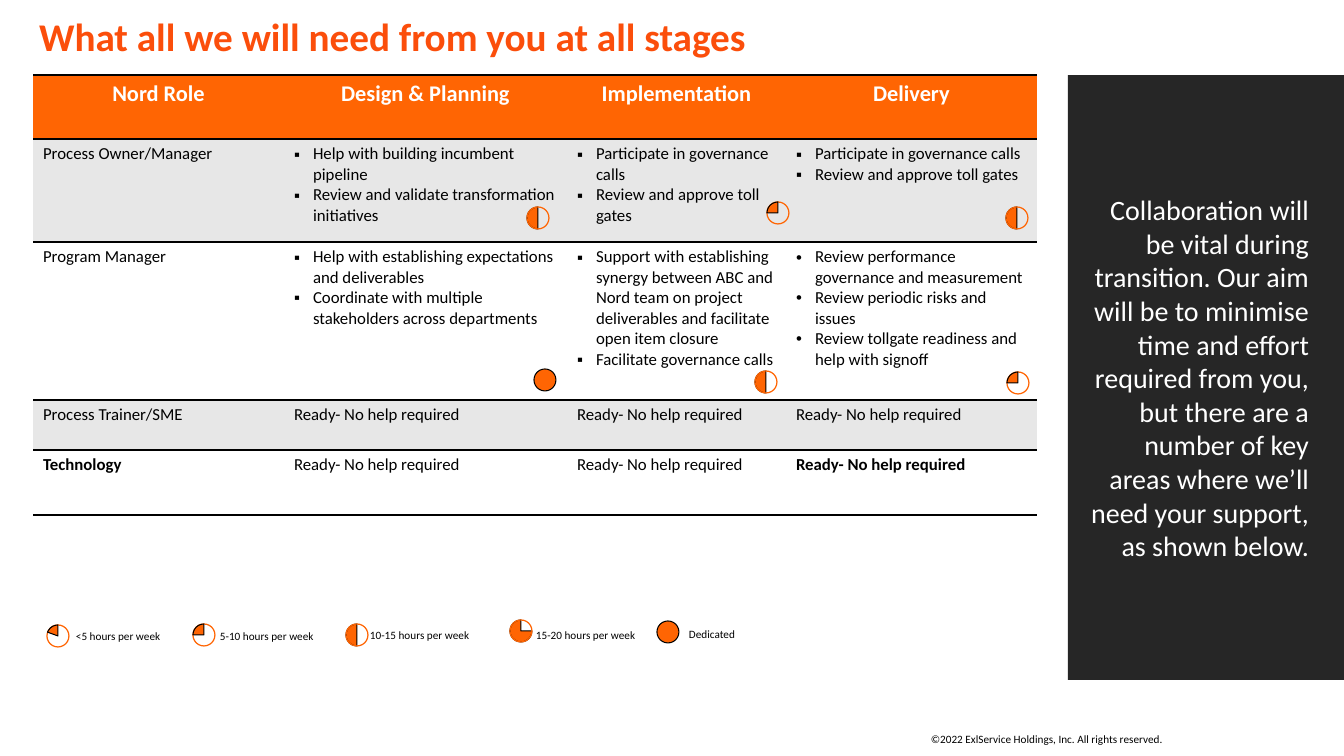
"""Build the slide on the support needed from each client role at every stage."""
from lxml import etree
from pptx import Presentation
from pptx.dml.color import RGBColor
from pptx.enum.shapes import MSO_SHAPE
from pptx.enum.text import MSO_ANCHOR, MSO_AUTO_SIZE, PP_ALIGN
from pptx.oxml.ns import qn
from pptx.util import Pt

RECTANGLE, OVAL, PIE = MSO_SHAPE.RECTANGLE, MSO_SHAPE.OVAL, MSO_SHAPE.CHORD.PIE
LEFT, CENTER, RIGHT = PP_ALIGN.LEFT, PP_ALIGN.CENTER, PP_ALIGN.RIGHT
TOP, MIDDLE = MSO_ANCHOR.TOP, MSO_ANCHOR.MIDDLE
NO_AUTOFIT = MSO_AUTO_SIZE.NONE

TITLE_COLOR = RGBColor(0xFB, 0x4E, 0x0B)
ORANGE = RGBColor(0xFF, 0x65, 0x03)
CHARCOAL = RGBColor(0x26, 0x26, 0x26)
GRAY = RGBColor(0xE7, 0xE7, 0xE7)
WHITE = RGBColor(0xFF, 0xFF, 0xFF)
BLACK = RGBColor(0, 0, 0)
FONT = "Calibri"
EMU_PER_PX = 914400 / 100.8

TITLE = "What all we will need from you at all stages"
PANEL = ("Collaboration will be vital during transition. Our aim will be to minimise "
         "time and effort required from you, but there are a number of key areas where "
         "we’ll need your support, as shown below.")
COPYRIGHT = "©2022 ExlService Holdings, Inc. All rights reserved."

READY = "Ready- No help required"
SQUARE, DOT = "▪", "•"
GOVERNANCE = (SQUARE, ["Participate in governance calls", "Review and approve toll gates"])
ROWS = [
    ["Nord Role", "Design & Planning", "Implementation", "Delivery"],
    ["Process Owner/Manager",
     (SQUARE, ["Help with building incumbent pipeline",
               "Review and validate transformation initiatives"]),
     GOVERNANCE, GOVERNANCE],
    ["Program Manager",
     (SQUARE, ["Help with establishing expectations and deliverables",
               "Coordinate with multiple stakeholders across departments"]),
     (SQUARE, ["Support with establishing synergy between ABC and Nord team on project "
               "deliverables and facilitate open item closure",
               "Facilitate governance calls"]),
     (DOT, ["Review performance governance and measurement",
            "Review periodic risks and issues",
            "Review tollgate readiness and help with signoff"])],
    ["Process Trainer/SME", READY, READY, READY],
    ["Technology", READY, READY, READY],
]
BOLD_CELLS = {(4, 0), (4, 3)}
COLUMN_WIDTHS = [251, 283, 219, 251]
ROW_HEIGHTS = [64, 103, 158, 50, 65]

BALL = 22
SLIVER, QUARTER, HALF, THREE_QUARTERS, FULL = 70, 90, 180, 270, 360
LEGEND = [
    (47, 625, SLIVER, 66, 624, "<5 hours per week"),
    (193, 624, QUARTER, 210, 624, "5-10 hours per week"),
    (346, 624, HALF, 360, 623, "10-15 hours per week"),
    (510, 620, THREE_QUARTERS, 526, 623, "15-20 hours per week"),
    (657, 621, FULL, 679, 622, "Dedicated"),
]
EFFORTS = [
    (527, 207, HALF), (767, 202, QUARTER), (1006, 207, HALF),
    (534, 369, FULL), (755, 371, HALF), (1007, 372, QUARTER),
]


def px(*lengths):
    return [round(length * EMU_PER_PX) for length in lengths]


def write(paragraph, text, size, color=BLACK, bold=False, align=LEFT):
    paragraph.alignment = align
    run = paragraph.add_run()
    run.text = text
    font = run.font
    font.name, font.size, font.bold = FONT, Pt(size), bold
    font.color.rgb = color


def add_label(slide, box, text, align=LEFT, anchor=TOP):
    frame = slide.shapes.add_textbox(*px(*box)).text_frame
    frame.word_wrap = True
    frame.vertical_anchor = anchor
    write(frame.paragraphs[0], text, 8, align=align)


def add_shape(shapes, kind, box, fill=None, line=None, width=0.0):
    shape = shapes.add_shape(kind, *px(*box))
    shape.shadow.inherit = False
    if fill is None:
        shape.fill.background()
    else:
        shape.fill.solid()
        shape.fill.fore_color.rgb = fill
    if line is None:
        shape.line.fill.background()
    else:
        shape.line.color.rgb = line
        shape.line.width = Pt(width)
    return shape


def add_ball(slide, left, top, sweep):
    box = (left, top, BALL, BALL)
    if sweep == FULL:
        add_shape(slide.shapes, OVAL, box, ORANGE, BLACK)
        return
    shapes = slide.shapes.add_group_shape().shapes
    if sweep < HALF:
        add_shape(shapes, OVAL, box, line=ORANGE, width=0.88)
    pie = add_shape(shapes, PIE, box, ORANGE, BLACK)
    pie.adjustments[0] = (270 - sweep) * 0.6
    pie.adjustments[1] = 270 * 0.6
    if sweep >= HALF:
        add_shape(shapes, OVAL, box, line=ORANGE, width=0.88)


def add_bullet(paragraph, character):
    properties = paragraph._p.get_or_add_pPr()
    indent = px(19)[0]
    properties.set("marL", str(indent))
    properties.set("indent", str(-indent))
    etree.SubElement(properties, qn("a:buFont"), typeface="Arial")
    etree.SubElement(properties, qn("a:buChar"), char=character)


def set_borders(cell, top, bottom):
    properties = cell._tc.get_or_add_tcPr()
    for side, points in (("L", 0), ("R", 0), ("T", top), ("B", bottom)):
        line = etree.SubElement(properties, qn(f"a:ln{side}"), w=str(Pt(points)))
        if points:
            fill = etree.SubElement(line, qn("a:solidFill"))
            etree.SubElement(fill, qn("a:srgbClr"), val=str(BLACK))
        else:
            etree.SubElement(line, qn("a:noFill"))


def fill_cell(cell, content, row, column):
    header, last = row == 0, row == len(ROWS) - 1
    set_borders(cell, 2 if header else 1, 2 if last else 1)
    cell.fill.solid()
    cell.fill.fore_color.rgb = ORANGE if header else GRAY if row % 2 else WHITE
    bullet, items = (None, [content]) if isinstance(content, str) else content
    frame = cell.text_frame
    for index, item in enumerate(items):
        paragraph = frame.add_paragraph() if index else frame.paragraphs[0]
        if bullet:
            add_bullet(paragraph, bullet)
        if header:
            write(paragraph, item, 16, WHITE, True, CENTER)
        else:
            write(paragraph, item, 12, bold=(row, column) in BOLD_CELLS)


def add_role_table(slide):
    box = (33, 75, sum(COLUMN_WIDTHS), sum(ROW_HEIGHTS))
    table = slide.shapes.add_table(len(ROWS), len(COLUMN_WIDTHS), *px(*box)).table
    table.horz_banding = False
    for column, width in zip(table.columns, px(*COLUMN_WIDTHS)):
        column.width = width
    for row, height in zip(table.rows, px(*ROW_HEIGHTS)):
        row.height = height
    for row, contents in enumerate(ROWS):
        for column, content in enumerate(contents):
            fill_cell(table.cell(row, column), content, row, column)


def main():
    presentation = Presentation()
    presentation.slide_width, presentation.slide_height = px(1344, 756)
    slide = presentation.slides.add_slide(presentation.slide_layouts[5])

    title = slide.shapes.title
    title.left, title.top, title.width, title.height = px(29, 7, 1277, 57)
    frame = title.text_frame
    frame.word_wrap, frame.auto_size, frame.vertical_anchor = True, NO_AUTOFIT, TOP
    write(frame.paragraphs[0], TITLE, 28, TITLE_COLOR, True)

    panel = add_shape(slide.shapes, RECTANGLE, (1068, 75, 276, 605), CHARCOAL)
    frame = panel.text_frame
    frame.word_wrap, frame.vertical_anchor = True, MIDDLE
    frame.margin_left, frame.margin_right = px(20, 35)
    write(frame.paragraphs[0], PANEL, 20, WHITE, align=RIGHT)

    add_role_table(slide)
    for left, top, sweep, label_left, label_top, text in LEGEND:
        add_ball(slide, left, top, sweep)
        add_label(slide, (label_left, label_top, 133, 24), text)
    for effort in EFFORTS:
        add_ball(slide, *effort)
    add_label(slide, (578, 729, 595, 20), COPYRIGHT, RIGHT, MIDDLE)
    presentation.save("out.pptx")


if __name__ == "__main__":
    main()
